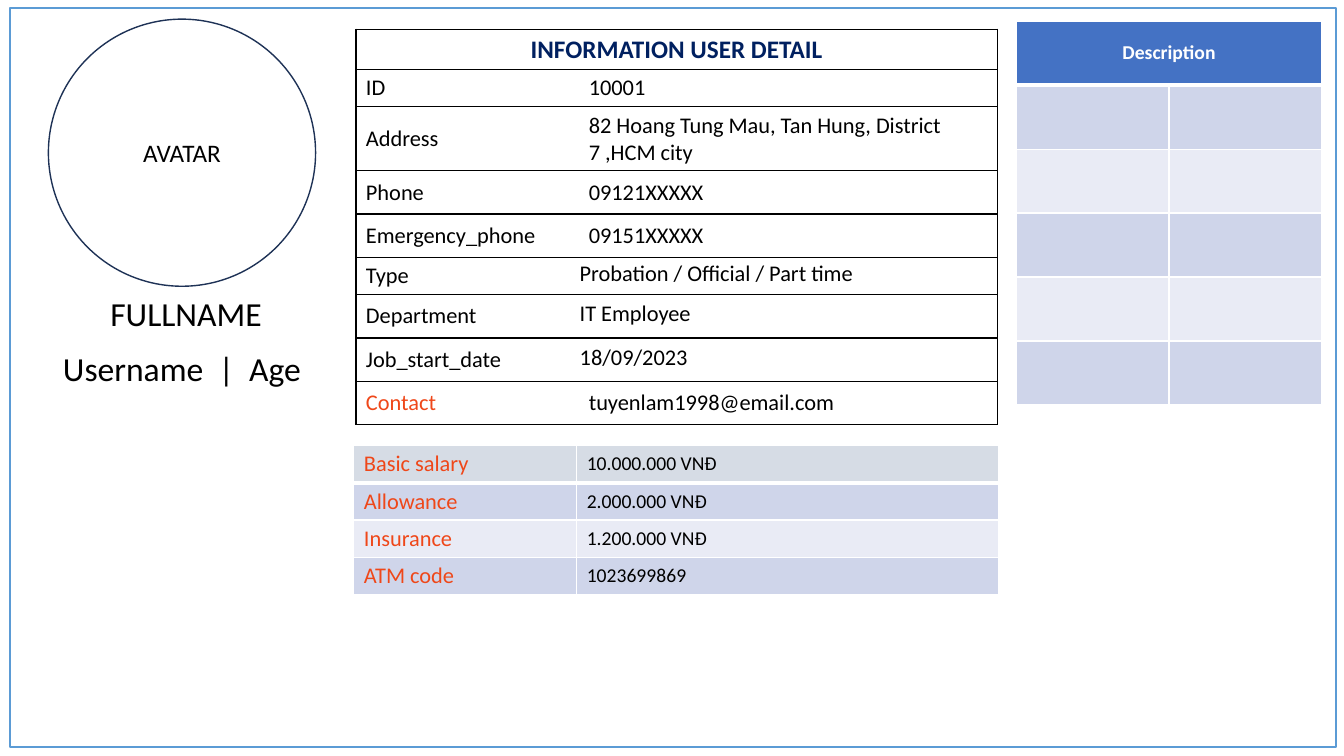
from lxml import etree
from pptx import Presentation
from pptx import util as u
from pptx.dml.color import RGBColor
from pptx.enum import shapes, text
from pptx.oxml import ns

BLACK, WHITE, NAVY, ORANGE = "000000", "FFFFFF", "002060", "EF4719"
BAND_DARK, BAND_LIGHT, BAND_GREY, HEADER_BLUE = "CFD5EA", "E9EBF5", "D6DCE5", "4472C4"


def color(hex_code):
    """Turn a hex string into a colour."""
    return RGBColor.from_string(hex_code)


def write(frame, words, size=16, ink=BLACK, bold=False, center=False):
    """Write one formatted paragraph into a text frame."""
    frame.word_wrap = True
    paragraph = frame.paragraphs[0]
    paragraph.alignment = text.PP_ALIGN.CENTER if center else text.PP_ALIGN.LEFT
    run = paragraph.add_run()
    run.text = words
    run.font.name, run.font.size, run.font.bold = "Calibri", u.Pt(size), bold
    run.font.color.rgb = color(ink)


def border(cell, ink, **widths):
    """Draw cell edges L, R, T and B in points; a width of 0 means no line."""
    properties = cell._tc.get_or_add_tcPr()
    for place, side in enumerate("LRTB"):
        width = widths.get(side, 1)
        line = etree.Element(ns.qn(f"a:ln{side}"), w=str(u.Pt(width)))
        if width:
            solid = etree.SubElement(line, ns.qn("a:solidFill"))
            etree.SubElement(solid, ns.qn("a:srgbClr"), val=ink)
        else:
            etree.SubElement(line, ns.qn("a:noFill"))
        properties.insert(place, line)


def paint(cell, fill=None):
    """Fill a cell, or leave it clear, and centre its text vertically."""
    cell.vertical_anchor = text.MSO_ANCHOR.MIDDLE
    if fill:
        cell.fill.solid()
        cell.fill.fore_color.rgb = color(fill)
    else:
        cell.fill.background()


class Board:
    """Holds the current slide and draws its elements."""

    def __init__(self, slide):
        """Keep the slide to draw on."""
        self.shapes = slide.shapes

    def outline(self, kind, box, ink):
        """Add a white shape with a thin outline."""
        shape = self.shapes.add_shape(kind, *map(u.Inches, box))
        shape.shadow.inherit = False
        shape.fill.solid()
        shape.fill.fore_color.rgb = color(WHITE)
        shape.line.color.rgb = color(ink)
        shape.line.width = u.Pt(1)
        return shape

    def label(self, box, words, **style):
        """Add a text box."""
        write(self.shapes.add_textbox(*map(u.Inches, box)).text_frame, words, **style)

    def table(self, left, top, columns, rows):
        """Add a table from its column widths and row heights."""
        size = map(u.Inches, (left, top, sum(columns), sum(rows)))
        table = self.shapes.add_table(len(rows), len(columns), *size).table
        for column, width in zip(table.columns, columns):
            column.width = u.Inches(width)
        for row, height in zip(table.rows, rows):
            row.height = u.Inches(height)
        return table


def draw_details(board):
    """Draw the user details with their values."""
    details = [
        ("ID", "10001", 0.37),
        ("Address", "82 Hoang Tung Mau, Tan Hung, District 7 ,HCM city", 0.63),
        ("Phone", "09121XXXXX", 0.43),
        ("Emergency_phone", "09151XXXXX", 0.43),
        ("Type", "Probation / Official / Part time", 0.37),
        ("Department", "IT Employee", 0.43),
        ("Job_start_date", "18/09/2023", 0.43),
        ("Contact", "tuyenlam1998@email.com", 0.43),
    ]
    tight = ("Type", "Department", "Job_start_date")
    table = board.table(3.53, 0.29, (2.21, 4.15), [0.4] + [row[2] for row in details])
    title = table.cell(0, 0)
    title.merge(table.cell(0, 1))
    for cell in table.rows[0].cells:
        border(cell, BLACK)
        paint(cell)
    write(title.text_frame, "INFORMATION USER DETAIL", size=18, ink=NAVY, bold=True, center=True)
    for row, (name, value, _) in enumerate(details, 1):
        name_cell, value_cell = table.rows[row].cells
        border(name_cell, BLACK, R=0)
        border(value_cell, BLACK, L=0)
        for cell in (name_cell, value_cell):
            paint(cell)
        write(name_cell.text_frame, name, ink=ORANGE if name == "Contact" else BLACK)
        write(value_cell.text_frame, value)
        if name in tight:
            value_cell.margin_left = value_cell.margin_top = u.Inches(0.01)
            value_cell.margin_right = u.Inches(0.01)


def draw_pay(board):
    """Draw the salary lines."""
    pay = [
        ("Basic salary", "10.000.000 VNĐ", BAND_GREY),
        ("Allowance", "2.000.000 VNĐ", BAND_DARK),
        ("Insurance", "1.200.000 VNĐ", BAND_LIGHT),
        ("ATM code", "1023699869", BAND_DARK),
    ]
    table = board.table(3.51, 4.42, (2.21, 4.18), [0.37] * len(pay))
    for row, (name, amount, band) in enumerate(pay):
        for cell in table.rows[row].cells:
            border(cell, WHITE, T=3 if row == 1 else 1, B=3 if row == 0 else 1)
            paint(cell, band)
        write(table.cell(row, 0).text_frame, name, ink=ORANGE)
        write(table.cell(row, 1).text_frame, amount, size=14)


def draw_description(board):
    """Draw the empty description grid under its heading."""
    table = board.table(10.08, 0.21, [1.515] * 2, [0.635] * 6)
    for row in range(6):
        band = BAND_DARK if row % 2 else BAND_LIGHT
        for cell in table.rows[row].cells:
            border(cell, WHITE, T=3 if row == 1 else 1, B=3 if row == 0 else 1)
            paint(cell, band if row else HEADER_BLUE)
    heading = table.cell(0, 0)
    heading.merge(table.cell(0, 1))
    write(heading.text_frame, "Description", size=14, ink=WHITE, bold=True, center=True)


def main():
    """Build and save the user profile slide."""
    deck = Presentation()
    deck.slide_width, deck.slide_height = u.Inches(13.33), u.Inches(7.5)
    board = Board(deck.slides.add_slide(deck.slide_layouts[6]))
    board.outline(shapes.MSO_SHAPE.RECTANGLE, (0.1, 0.08, 13.15, 7.33), "5B9BD5")
    avatar = board.outline(shapes.MSO_SHAPE.OVAL, (0.48, 0.19, 2.65, 2.65), "1E3256")
    avatar.text_frame.vertical_anchor = text.MSO_ANCHOR.MIDDLE
    write(avatar.text_frame, "AVATAR", size=18, center=True)
    board.label((0.1, 2.86, 3.49, 0.5), "FULLNAME", size=24, center=True)
    board.label((0.06, 3.4, 3.49, 0.5), "Username  |  Age", size=24, center=True)
    draw_details(board)
    draw_pay(board)
    draw_description(board)
    deck.save("out.pptx")


main()
